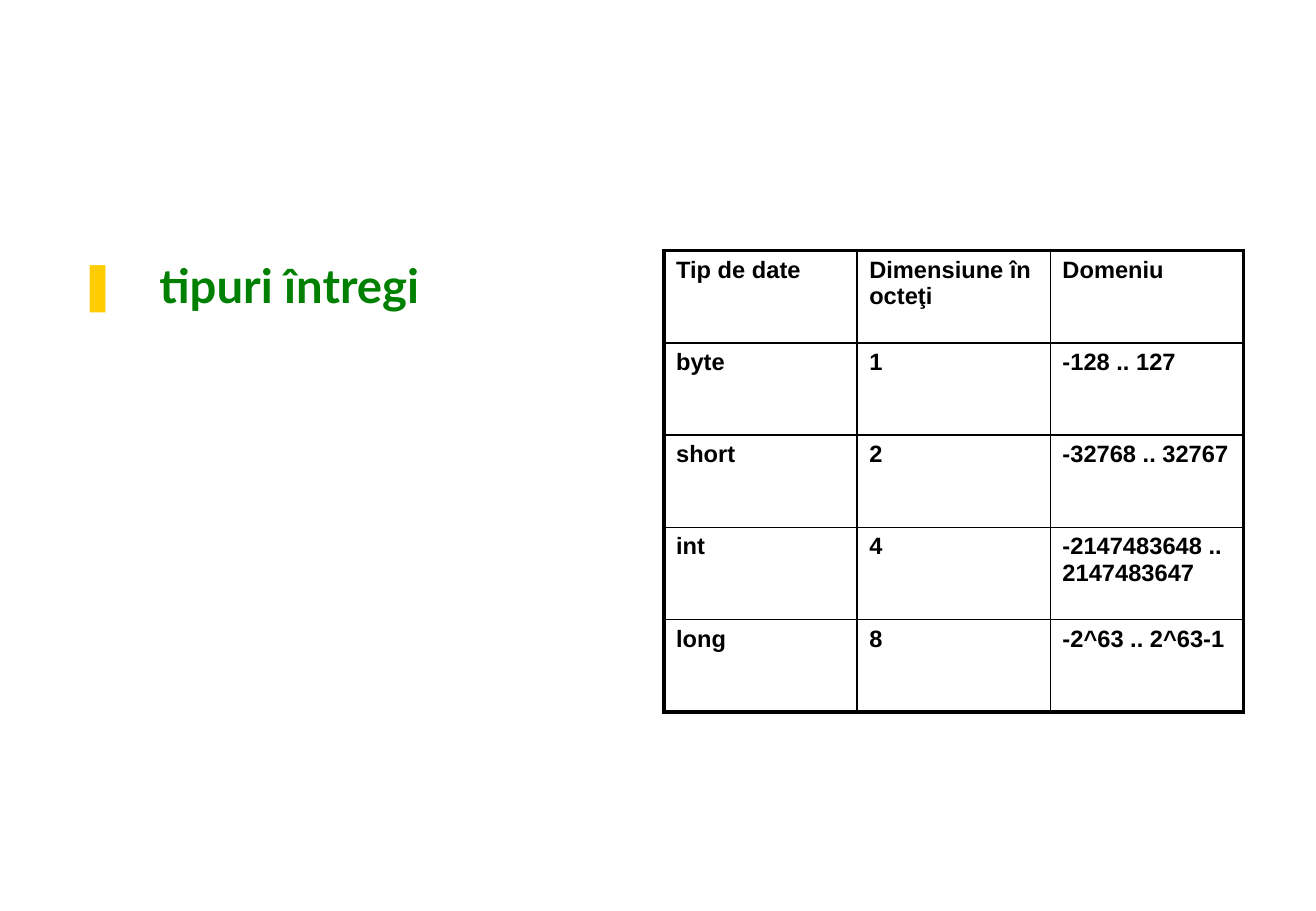
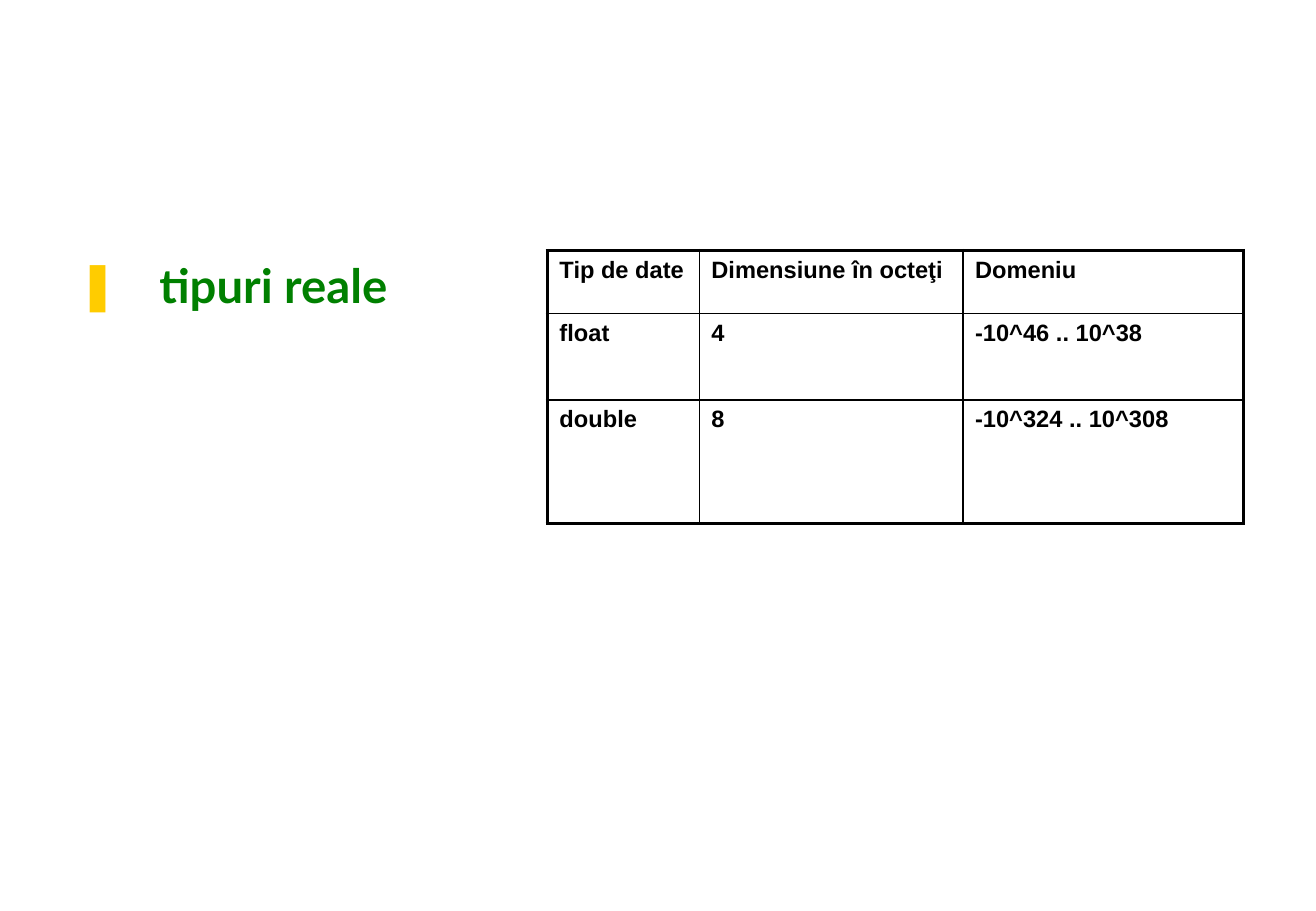
from dataclasses import dataclass

from lxml import etree
from pptx import Presentation
from pptx.dml.color import RGBColor
from pptx.enum.text import MSO_ANCHOR, MSO_AUTO_SIZE
from pptx.oxml.ns import qn
from pptx.util import Inches, Pt

TOP = MSO_ANCHOR.TOP
NO_FIT = MSO_AUTO_SIZE.NONE


@dataclass
class Theme:
    heading_font: str = "Lato"
    table_font: str = "Arial"
    heading_size: float = 28
    table_size: float = 14
    heading_color: str = "008000"
    bullet_color: str = "FFCC00"
    ink: str = "000000"
    outer_line: float = 2.21
    inner_line: float = 0.96


theme = Theme()

# Shared layout, as shares of the slide's size
WIDTH, HEIGHT = Inches(10.83), Inches(7.5)
LEFT, RIGHT = 0.05 * WIDTH, 0.945 * WIDTH
CONTENT_TOP = 0.275 * HEIGHT
TEXT_WIDTH, TEXT_HEIGHT = 0.44 * WIDTH, 0.61 * HEIGHT
INDENT = Inches(0.67)

HEADER = ["Tip de date", "Dimensiune în octeţi", "Domeniu"]

# Heading, column widths, row heights (inches) and table rows of each slide
SLIDES = [
    ("tipuri întregi", [1.59] * 3, [0.76] * 5, [
        HEADER,
        ["byte", "1", "-128 .. 127"],
        ["short", "2", "-32768 .. 32767"],
        ["int", "4", "-2147483648 .. 2147483647"],
        ["long", "8", "-2^63 .. 2^63-1"],
    ]),
    ("tipuri reale", [1.25, 2.17, 2.31], [0.52, 0.71, 1.02], [
        HEADER,
        ["float", "4", "-10^46 .. 10^38"],
        ["double", "8", "-10^324 .. 10^308"],
    ]),
]


def style_paragraph(paragraph, font_name, size, color):
    paragraph.space_before = Pt(0)
    font = paragraph.font
    font.name, font.size, font.bold = font_name, Pt(size), True
    font.color.rgb = RGBColor.from_string(color)


def add_border(cell, side, width):
    line = etree.SubElement(cell._tc.get_or_add_tcPr(), qn(f"a:ln{side}"),
                            w=str(Pt(width)))
    fill = etree.SubElement(line, qn("a:solidFill"))
    etree.SubElement(fill, qn("a:srgbClr"), val=theme.ink)


deck = Presentation()
deck.slide_width, deck.slide_height = WIDTH, HEIGHT
layout = deck.slide_layouts.get_by_name("Title and Content")

for heading, widths, heights, rows in SLIDES:
    page = deck.slides.add_slide(layout)
    title = page.shapes.title.element
    title.getparent().remove(title)

    # Bulleted heading
    body = page.placeholders[1]
    body.left, body.top = int(LEFT), int(CONTENT_TOP)
    body.width, body.height = int(TEXT_WIDTH), int(TEXT_HEIGHT)
    frame = body.text_frame
    frame.text = heading
    frame.vertical_anchor, frame.auto_size = TOP, NO_FIT
    para = frame.paragraphs[0]
    properties = para._p.get_or_add_pPr()
    properties.set("marL", str(INDENT))
    properties.set("indent", str(-INDENT))
    bullet_color = etree.SubElement(properties, qn("a:buClr"))
    etree.SubElement(bullet_color, qn("a:srgbClr"), val=theme.bullet_color)
    etree.SubElement(properties, qn("a:buChar"), char="❚")
    style_paragraph(para, theme.heading_font, theme.heading_size,
                    theme.heading_color)

    # Table, aligned to the right margin
    table_width, table_height = Inches(sum(widths)), Inches(sum(heights))
    table = page.shapes.add_table(
        len(rows), len(widths), int(RIGHT - table_width), int(CONTENT_TOP),
        table_width, table_height).table
    table.first_row = table.horz_banding = False
    for column, width in zip(table.columns, widths):
        column.width = Inches(width)
    for row, height in zip(table.rows, heights):
        row.height = Inches(height)

    # Cells: thick lines around the table, thin lines inside
    last_row, last_column = len(rows) - 1, len(widths) - 1
    for r, values in enumerate(rows):
        for c, value in enumerate(values):
            cell = table.cell(r, c)
            cell.text = value
            style_paragraph(cell.text_frame.paragraphs[0], theme.table_font,
                            theme.table_size, theme.ink)
            outer_sides = {"L": c == 0, "R": c == last_column,
                           "T": r == 0, "B": r == last_row}
            for side, is_outer in outer_sides.items():
                add_border(cell, side,
                           theme.outer_line if is_outer else theme.inner_line)
            cell.fill.background()

deck.save("out.pptx")
